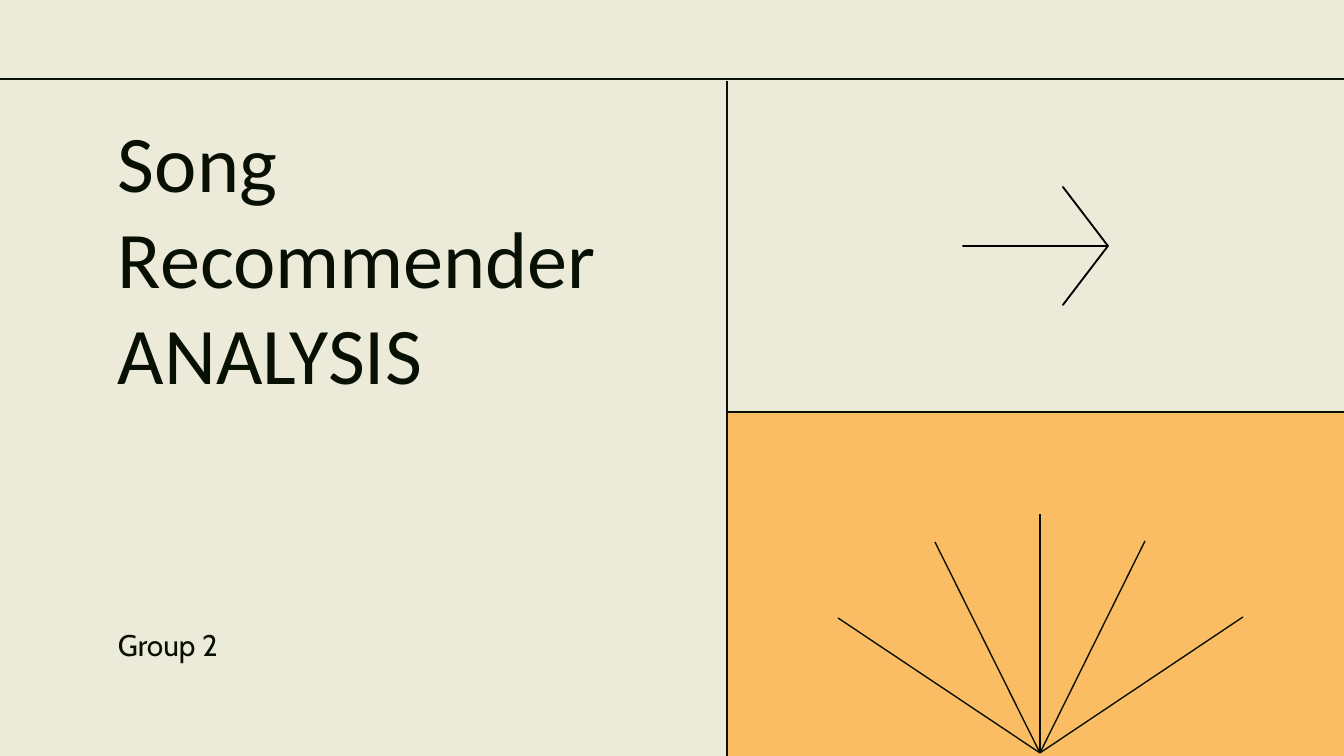
"""Build the title slide of the song recommender analysis."""
from typing import NamedTuple

from lxml.etree import SubElement
from pptx import Presentation
from pptx.dml.color import RGBColor
from pptx.enum.shapes import MSO_CONNECTOR as CONN, MSO_SHAPE as SHAPE
from pptx.enum.text import MSO_ANCHOR as ANCHOR
from pptx.oxml.ns import qn
from pptx.util import Pt

PX = 9144000 / 1344
W, H = 1344, 756
SPLIT_X, SPLIT_Y, HEAD_Y = 727, 412, 79
CREAM, INK, ORANGE, BLACK = "ECEBDA", "081004", "FABD63", "000000"
HUB = (1040, 753)
RAY_TIPS = [(1040, 514), (1243, 617), (1145, 541), (838, 618), (935, 542)]
ARROW = [(1063, 187), (1108, 246), (963, 246), (1108, 246), (1063, 305), (1108, 246)]


class Label(NamedTuple):
    text: str
    top: int
    height: int
    anchor: ANCHOR
    font: dict


class Rule(NamedTuple):
    start: tuple[int, int]
    end: tuple[int, int]


LABELS = [
    Label("Song Recommender ANALYSIS", 99, 414, ANCHOR.TOP, {"name": "Calibri", "size": Pt(43)}),
    Label("Group 2", 616, 60, ANCHOR.BOTTOM, {"name": "Cabin", "size": Pt(16)}),
]
HEAD_RULE = Rule((-1, HEAD_Y), (W, HEAD_Y))
PANEL_RULES = [
    Rule((SPLIT_X, 81), (SPLIT_X, H)),
    Rule((SPLIT_X, SPLIT_Y), (W, SPLIT_Y)),
]


def emu(*px: int) -> list[int]:
    return [round(v * PX) for v in px]


def rgb(color: str) -> RGBColor:
    return RGBColor.from_string(color)


def add_label(shapes, label: Label) -> None:
    tf = shapes.add_textbox(*emu(105, label.top, 582, label.height)).text_frame
    margins = {f"margin_{side}": emu(13)[0] for side in ("left", "top", "right", "bottom")}
    frame = {"word_wrap": True, "vertical_anchor": label.anchor, **margins}
    for name, value in frame.items():
        setattr(tf, name, value)
    r = tf.paragraphs[0].add_run()
    r.text = label.text
    for name, value in label.font.items():
        setattr(r.font, name, value)
    r.font.color.rgb = rgb(INK)


def add_rule(shapes, rule: Rule) -> None:
    c = shapes.add_connector(CONN.STRAIGHT, *emu(*rule.start, *rule.end))
    c.line.color.rgb = rgb(INK)
    c.line.width = Pt(0.75)
    SubElement(c._element.spPr, qn("a:effectLst"))


def add_panel(shapes) -> None:
    sp = shapes.add_shape(SHAPE.RECTANGLE, *emu(SPLIT_X, SPLIT_Y, W - SPLIT_X, H - SPLIT_Y))
    sp.shadow.inherit = False
    sp.fill.solid()
    sp.fill.fore_color.rgb = rgb(ORANGE)
    sp.line.fill.background()


def add_arrow(shapes) -> None:
    builder = shapes.build_freeform(*ARROW[0], scale=PX)
    builder.add_line_segments(ARROW[1:], close=True)
    sp = builder.convert_to_shape()
    sp.shadow.inherit = False
    sp.fill.solid()
    sp.fill.fore_color.rgb = rgb(BLACK)
    sp.line.color.rgb = rgb(BLACK)
    sp.line.width = Pt(1)


def main() -> None:
    prs = Presentation()
    prs.slide_width, prs.slide_height = emu(W, H)
    s = prs.slides.add_slide(prs.slide_layouts[6])
    s.background.fill.solid()
    s.background.fill.fore_color.rgb = rgb(CREAM)
    add_rule(s.shapes, HEAD_RULE)
    for label in LABELS:
        add_label(s.shapes, label)
    add_panel(s.shapes)
    for rule in PANEL_RULES:
        add_rule(s.shapes, rule)
    add_arrow(s.shapes)
    rays = s.shapes.add_group_shape().shapes
    for tip in RAY_TIPS:
        add_rule(rays, Rule(HUB, tip))
    prs.save("out.pptx")


if __name__ == "__main__":
    main()
